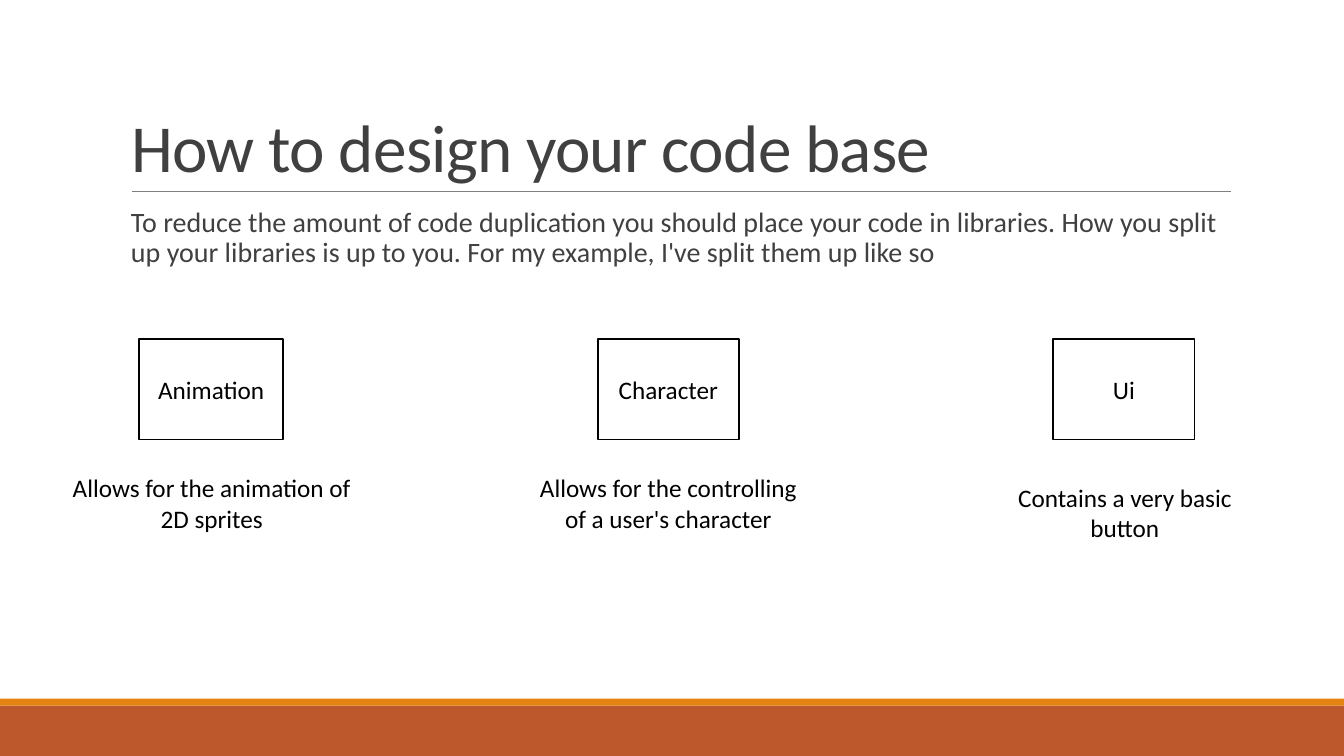
from pptx import Presentation
from pptx.dml.color import RGBColor
from pptx.enum.shapes import MSO_CONNECTOR, MSO_SHAPE
from pptx.enum.text import MSO_ANCHOR, MSO_AUTO_SIZE, PP_ALIGN
from pptx.oxml.ns import qn
from pptx.util import Pt

COLORS = {
    "white": "FFFFFF",
    "black": "000000",
    "text": "404040",
    "rule": "808080",
    "band": "BD582C",
    "stripe": "E48312",
}
LIBRARIES = [
    ("Animation", 99.4, 103, "Allows for the animation of 2D sprites", 43.2, 334.1),
    ("Character", 427, 100.8, "Allows for the controlling of a user's character", 369.4, 334.1),
    ("Ui", 752.4, 100.8, "Contains a very basic button", 695.5, 340.6),
]


def rgb(name):
    return RGBColor.from_string(COLORS[name])


def write(s, text, size, color, align, anchor):
    tf = s.text_frame
    tf.text = text
    tf.word_wrap = True
    tf.auto_size = MSO_AUTO_SIZE.NONE
    tf.vertical_anchor = anchor
    p = tf.paragraphs[0]
    p.alignment = align
    r = p.runs[0]
    r.font.name = "Calibri"
    r.font.size = Pt(size)
    r.font.color.rgb = rgb(color)
    return p


def add_rect(sp, x, y, w, h, fill, line=None):
    s = sp.add_shape(MSO_SHAPE.RECTANGLE, Pt(x), Pt(y), Pt(w), Pt(h))
    s.shadow.inherit = False
    s.fill.solid()
    s.fill.fore_color.rgb = rgb(fill)
    if line:
        s.line.color.rgb = rgb(line)
        s.line.width = Pt(1.25)
    else:
        s.line.fill.background()
    return s


def add_rule(sp, x1, x2, y):
    s = sp.add_connector(MSO_CONNECTOR.STRAIGHT, Pt(x1), Pt(y), Pt(x2), Pt(y))
    s.line.color.rgb = rgb("rule")
    s.line.width = Pt(0.5)
    spPr = s._element.spPr
    spPr.append(spPr.makeelement(qn("a:effectLst"), {}))


def set_title(s, text):
    s.left, s.top, s.width, s.height = Pt(86.4), Pt(22.3), Pt(792), Pt(114.5)
    p = write(s, text, 48, "text", PP_ALIGN.LEFT, MSO_ANCHOR.BOTTOM)
    p.line_spacing = 0.85
    p.runs[0].font._element.set("spc", "-50")


def add_intro(sp, text):
    s = sp.add_textbox(Pt(93.6), Pt(145.4), Pt(784.8), Pt(316.8))
    s.text_frame.margin_left = s.text_frame.margin_right = 0
    p = write(s, text, 20, "text", PP_ALIGN.LEFT, MSO_ANCHOR.TOP)
    p.line_spacing = 0.9


def add_library(sp, name, x, w, note, note_x, note_y):
    s = add_rect(sp, x, 241.9, w, 72, "white", "black")
    write(s, name, 18, "black", PP_ALIGN.CENTER, MSO_ANCHOR.MIDDLE)
    s = sp.add_textbox(Pt(note_x), Pt(note_y), Pt(216), Pt(51))
    write(s, note, 18, "black", PP_ALIGN.CENTER, MSO_ANCHOR.TOP)


def main():
    prs = Presentation()
    prs.slide_width, prs.slide_height = Pt(960), Pt(540)
    slide = prs.slides.add_slide(prs.slide_layouts[5])
    sp = slide.shapes
    add_rect(sp, 0, 504, 960, 36, "band")
    add_rect(sp, 0, 499, 960, 5, "stripe")
    add_rule(sp, 94.3, 879.1, 136.8)
    set_title(sp.title, "How to design your code base")
    add_intro(sp, "To reduce the amount of code duplication you should place your code "
                  "in libraries. How you split up your libraries is up to you. "
                  "For my example, I've split them up like so")
    for library in LIBRARIES:
        add_library(sp, *library)
    prs.save("out.pptx")


if __name__ == "__main__":
    main()
